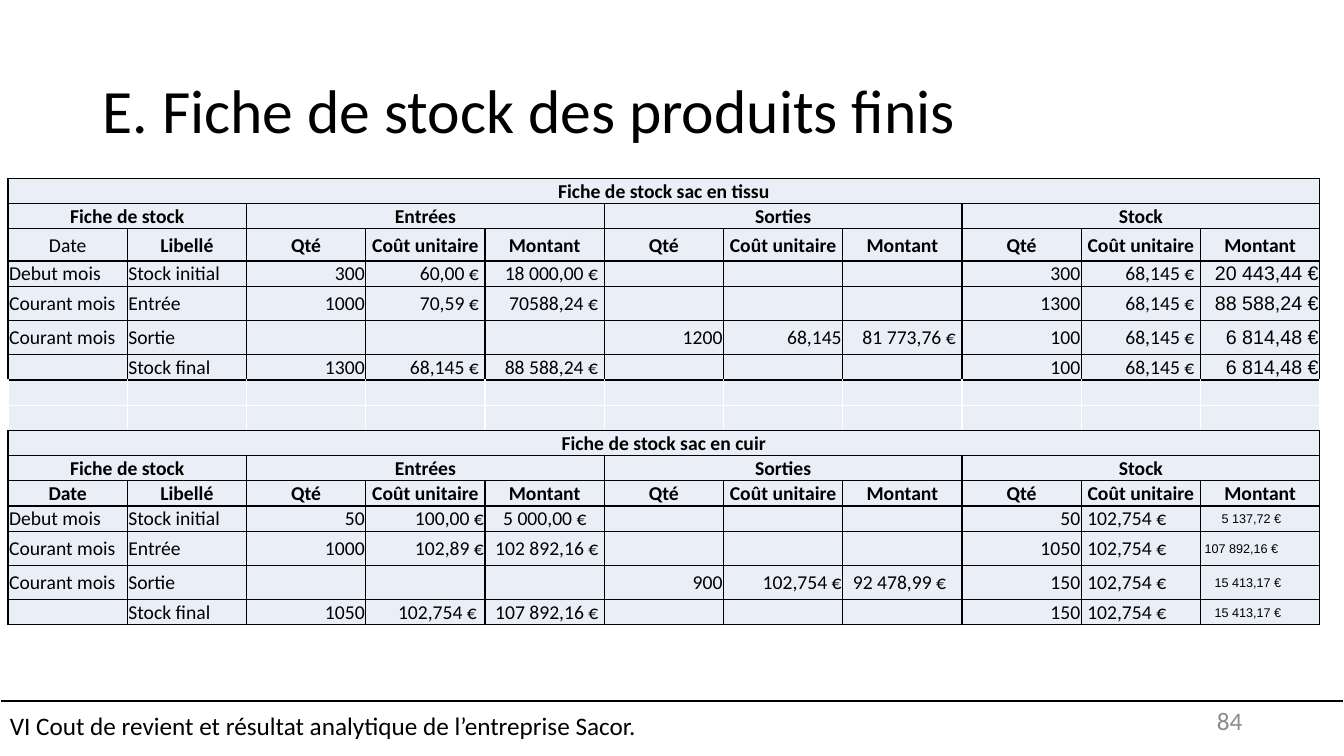
from lxml.etree import SubElement
from pptx import Presentation
from pptx.dml.color import RGBColor
from pptx.enum.shapes import MSO_CONNECTOR, MSO_SHAPE
from pptx.enum.text import MSO_ANCHOR as Anchor, PP_ALIGN as Align
from pptx.oxml.ns import qn
from pptx.util import Inches, Pt

BLACK = RGBColor(0x00, 0x00, 0x00)
WHITE = RGBColor(0xFF, 0xFF, 0xFF)
GREY = RGBColor(0x8C, 0x8C, 0x8C)
PALE_BLUE = RGBColor(0xEA, 0xEF, 0xF7)

COLUMNS = 11
SHORT, MEDIUM, TALL = 0.25, 0.32, 0.34
BODY_HEIGHTS = [SHORT, TALL, TALL, SHORT]
GAP_ROWS = (7, 8)
GROUPS = [("Fiche de stock", 0, 2), ("Entrées", 2, 3), ("Sorties", 5, 3), ("Stock", 8, 3)]
HEADINGS = ["Date", "Libellé"] + ["Qté", "Coût unitaire", "Montant"] * 3
NONE = [""] * 3

FABRIC_ROWS = [
    ["Debut mois", "Stock initial", "300", "60,00 €", "18 000,00 €", *NONE,
     "300", "68,145 €", "20 443,44 €"],
    ["Courant mois", "Entrée", "1000", "70,59 €", "70588,24 €", *NONE,
     "1300", "68,145 €", "88 588,24 €"],
    ["Courant mois", "Sortie", *NONE, "1200", "68,145", "81 773,76 €",
     "100", "68,145 €", "6 814,48 €"],
    ["", "Stock final", "1300", "68,145 €", "88 588,24 €", *NONE,
     "100", "68,145 €", "6 814,48 €"],
]
STOCK_COST = ("102,754 €", 0.06)
LEATHER_ROWS = [
    ["Debut mois", "Stock initial", "50", "100,00 €", ("5 000,00 €", 0.18), *NONE,
     "50", STOCK_COST, ("5 137,72 €", 0.21)],
    ["Courant mois", "Entrée", "1000", "102,89 €", ("102 892,16 €", 0.1), *NONE,
     "1050", STOCK_COST, ("107 892,16 €", 0.04)],
    ["Courant mois", "Sortie", *NONE, "900", "102,754 €", ("92 478,99 €", 0.1),
     "150", STOCK_COST, ("15 413,17 €", 0.14)],
    ["", "Stock final", "1050", ("102,754 €", 0.32), ("107 892,16 €", 0.1), *NONE,
     "150", STOCK_COST, ("15 413,17 €", 0.14)],
]


def write_text(frame, text, size=14, font="Calibri", color=BLACK, bold=False,
               align=Align.LEFT, line_spacing=None):
    paragraph = frame.paragraphs[0]
    paragraph.alignment = align
    if line_spacing:
        paragraph.line_spacing = line_spacing
    if not text:
        SubElement(paragraph._p, qn("a:endParaRPr"), sz=str(size * 100))
        return
    run = paragraph.add_run()
    run.text = text
    run.font.size = Pt(size)
    run.font.name = font
    run.font.bold = bold
    run.font.color.rgb = color


class StockSlide:
    def __init__(self, presentation):
        self.slide = presentation.slides.add_slide(presentation.slide_layouts[6])

    def rule(self, left, right, top):
        line = self.slide.shapes.add_connector(
            MSO_CONNECTOR.STRAIGHT, Inches(left), Inches(top), Inches(right), Inches(top))
        line.line.color.rgb = BLACK
        line.line.width = Pt(1.5)
        SubElement(line._element.spPr, qn("a:effectLst"))

    def text(self, text, left, top, width, height, **style):
        box = self.slide.shapes.add_textbox(
            Inches(left), Inches(top), Inches(width), Inches(height))
        box.text_frame.word_wrap = True
        box.text_frame.vertical_anchor = Anchor.MIDDLE
        write_text(box.text_frame, text, **style)

    def band(self, text, left, top, width, height, **style):
        shape = self.slide.shapes.add_shape(
            MSO_SHAPE.RECTANGLE, Inches(left), Inches(top), Inches(width), Inches(height))
        shape.shadow.inherit = False
        shape.fill.background()
        shape.line.color.rgb = WHITE
        shape.line.width = Pt(1)
        shape.text_frame.vertical_anchor = Anchor.MIDDLE
        write_text(shape.text_frame, text, **style)

    def table(self, left, top, width, heights):
        frame = self.slide.shapes.add_table(
            len(heights), COLUMNS, Inches(left), Inches(top), Inches(width), Inches(sum(heights)))
        table = frame.table
        table.first_row = table.horz_banding = False
        for column in table.columns:
            column.width = Inches(width / COLUMNS)
        for row, height in zip(table.rows, heights):
            row.height = Inches(height)
        return table

    def borders(self, cell, left, right, top, bottom):
        properties = cell._tc.get_or_add_tcPr()
        for side, color in zip("LRTB", (left, right, top, bottom)):
            line = SubElement(properties, qn(f"a:ln{side}"), w=str(Pt(1)))
            fill = SubElement(line, qn("a:solidFill"))
            SubElement(fill, qn("a:srgbClr"), val=str(color))

    def cell(self, table, row, column, text="", span=1, indent=0.01, gap=0.01,
             anchor=Anchor.MIDDLE, **style):
        cell = table.cell(row, column)
        if span > 1:
            cell.merge(table.cell(row, column + span - 1))
        cell.margin_left, cell.margin_right = Inches(indent), Inches(gap)
        cell.margin_top, cell.margin_bottom = Inches(0.01), 0
        cell.vertical_anchor = anchor
        write_text(cell.text_frame, text, **style)

    def paint(self, table):
        last_gap = GAP_ROWS[-1]
        for row in range(len(table.rows)):
            side = WHITE if row in GAP_ROWS else BLACK
            top = WHITE if row == last_gap else BLACK
            bottom = WHITE if row == GAP_ROWS[0] else BLACK
            for column in range(COLUMNS):
                cell = table.cell(row, column)
                self.borders(cell, side, side, top, bottom)
                cell.fill.solid()
                cell.fill.fore_color.rgb = PALE_BLUE

    def stock_sheet(self, table, first_row, title, rows, date_bold, euro_gap, total_size):
        heading = dict(bold=True, align=Align.CENTER)
        self.cell(table, first_row, 0, title, span=COLUMNS, anchor=Anchor.BOTTOM, **heading)
        for name, column, span in GROUPS:
            self.cell(table, first_row + 1, column, name, span=span, **heading)
        for column, name in enumerate(HEADINGS):
            self.cell(table, first_row + 2, column, name, align=Align.CENTER,
                      bold=date_bold or column > 0)
        for row, values in enumerate(rows, first_row + 3):
            for column, value in enumerate(values):
                style = {"align": Align.LEFT if column < 2 else Align.RIGHT}
                if isinstance(value, tuple):
                    value, style["indent"] = value
                    style["align"] = Align.LEFT
                if column == COLUMNS - 1:
                    style.update(font="Arial", size=total_size)
                elif value.endswith("€"):
                    style["gap"] = euro_gap
                self.cell(table, row, column, value, **style)


def main():
    presentation = Presentation()
    presentation.slide_width = Inches(13.33)
    presentation.slide_height = Inches(7.5)
    slide = StockSlide(presentation)
    slide.rule(0, 13.33, 6.95)
    slide.text("E. Fiche de stock des produits finis", 0.92, 0.4, 11.5, 1.45,
               size=44, line_spacing=0.9)

    heights = ([SHORT, SHORT, MEDIUM] + BODY_HEIGHTS + [SHORT] * len(GAP_ROWS)
               + [SHORT] * 3 + BODY_HEIGHTS)
    table = slide.table(0.08, 1.77, 13.01, heights)
    slide.paint(table)
    slide.stock_sheet(table, 0, "Fiche de stock sac en tissu", FABRIC_ROWS,
                      date_bold=False, euro_gap=0.06, total_size=14)
    for row in GAP_ROWS:
        for column in range(COLUMNS):
            slide.cell(table, row, column)
    slide.stock_sheet(table, GAP_ROWS[-1] + 1, "Fiche de stock sac en cuir", LEATHER_ROWS,
                      date_bold=True, euro_gap=0.01, total_size=9)

    slide.band("VI Cout de revient et résultat analytique de l’entreprise Sacor.",
               0, 6.9, 13.33, 0.6, size=18)
    slide.text("84", 9.42, 6.95, 3, 0.4, size=18, color=GREY, align=Align.RIGHT)
    presentation.save("out.pptx")


if __name__ == "__main__":
    main()
